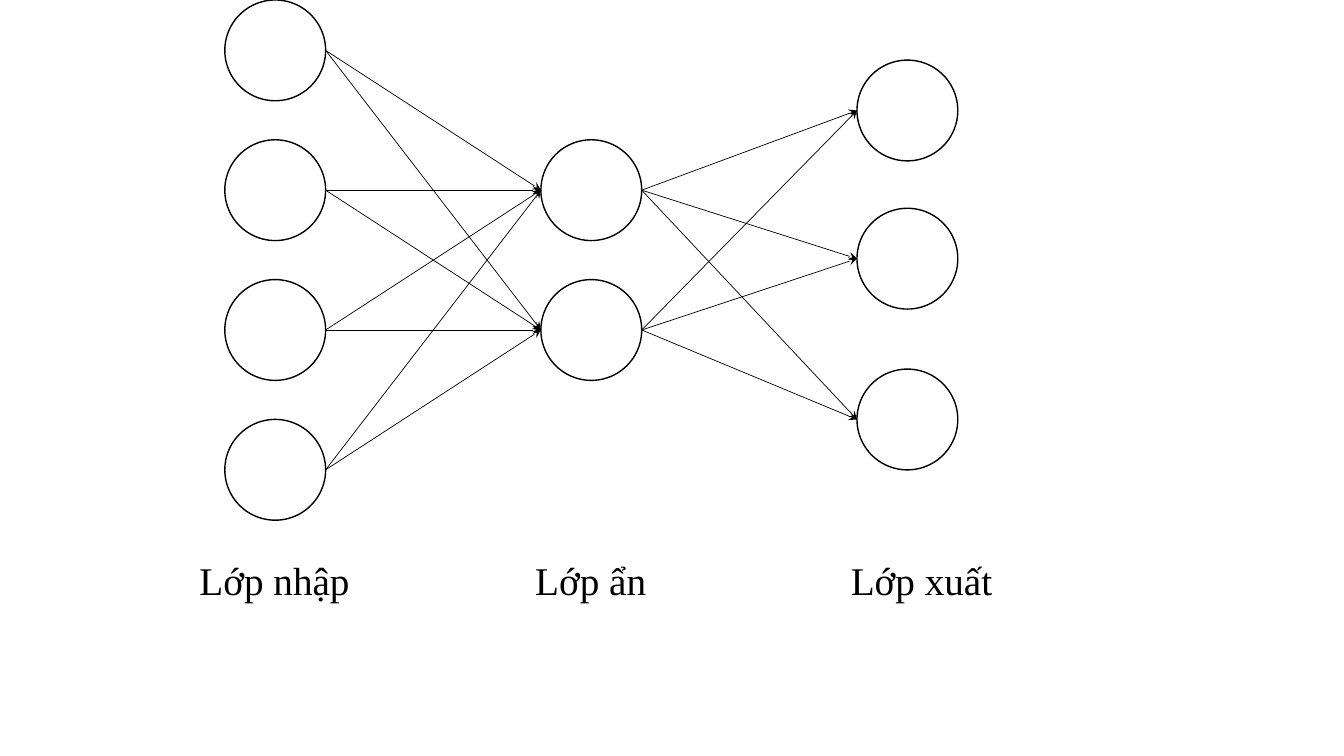
import itertools

import pptx
import pptx.dml.color
import pptx.enum.shapes
import pptx.enum.text
import pptx.oxml
import pptx.oxml.ns
import pptx.util

BLACK = pptx.dml.color.RGBColor(0, 0, 0)
FONT = "Times New Roman"
BLANK_LAYOUT = 6
LEFT, COLUMN, ROW, DIAMETER = 2.23, 3.135, 1.387, 1
LABEL_TOP, LABEL_HEIGHT = 5.47, 0.57
LAYERS = [
    ("Lớp nhập", 1.88, 1.71, [0, 1, 2, 3]),
    ("Lớp ẩn", 5.21, 1.31, [1, 2]),
    ("Lớp xuất", 8.34, 1.62, [0.43, 1.49, 2.64]),
]


class NetworkSlide:
    """Draws neurons, links and labels in one style on the current slide."""

    def __init__(self, slide):
        self.shapes = slide.shapes
        self.inches = pptx.util.Inches

    def neuron(self, column, row):
        size = self.inches(DIAMETER)
        shape = self.shapes.add_shape(
            pptx.enum.shapes.MSO_SHAPE.OVAL,
            self.inches(LEFT + column * COLUMN), self.inches(row * ROW), size, size)
        shape.shadow.inherit = False
        shape.fill.background()
        shape.line.color.rgb = BLACK
        shape.line.width = pptx.util.Pt(1)
        return shape

    def link(self, source, target):
        connector = self.shapes.add_connector(
            pptx.enum.shapes.MSO_CONNECTOR.STRAIGHT,
            source.left + source.width, source.top + source.height // 2,
            target.left, target.top + target.height // 2)
        connector.line.color.rgb = BLACK
        connector.line.width = pptx.util.Pt(0.5)
        namespace = pptx.oxml.ns.nsdecls("a")
        connector.line._get_or_add_ln().append(
            pptx.oxml.parse_xml(f'<a:tailEnd {namespace} type="stealth"/>'))
        connector._element.spPr.append(pptx.oxml.parse_xml(f"<a:effectLst {namespace}/>"))

    def label(self, text, left, width):
        box = self.shapes.add_textbox(*map(self.inches, (left, LABEL_TOP, width, LABEL_HEIGHT)))
        frame = box.text_frame
        frame.word_wrap = False
        frame.auto_size = pptx.enum.text.MSO_AUTO_SIZE.SHAPE_TO_FIT_TEXT
        paragraph = frame.paragraphs[0]
        paragraph.text = text
        paragraph.font.name = FONT
        paragraph.font.size = pptx.util.Pt(28)
        paragraph.font.color.rgb = BLACK


presentation = pptx.Presentation()
presentation.slide_width = pptx.util.Inches(13.33)
presentation.slide_height = pptx.util.Inches(7.5)
network = NetworkSlide(
    presentation.slides.add_slide(presentation.slide_layouts[BLANK_LAYOUT]))

layers = [[network.neuron(column, row) for row in rows]
          for column, (_, _, _, rows) in enumerate(LAYERS)]
for sources, targets in itertools.pairwise(layers):
    for source, target in itertools.product(sources, targets):
        network.link(source, target)
for text, left, width, _ in LAYERS:
    network.label(text, left, width)

presentation.save("out.pptx")
